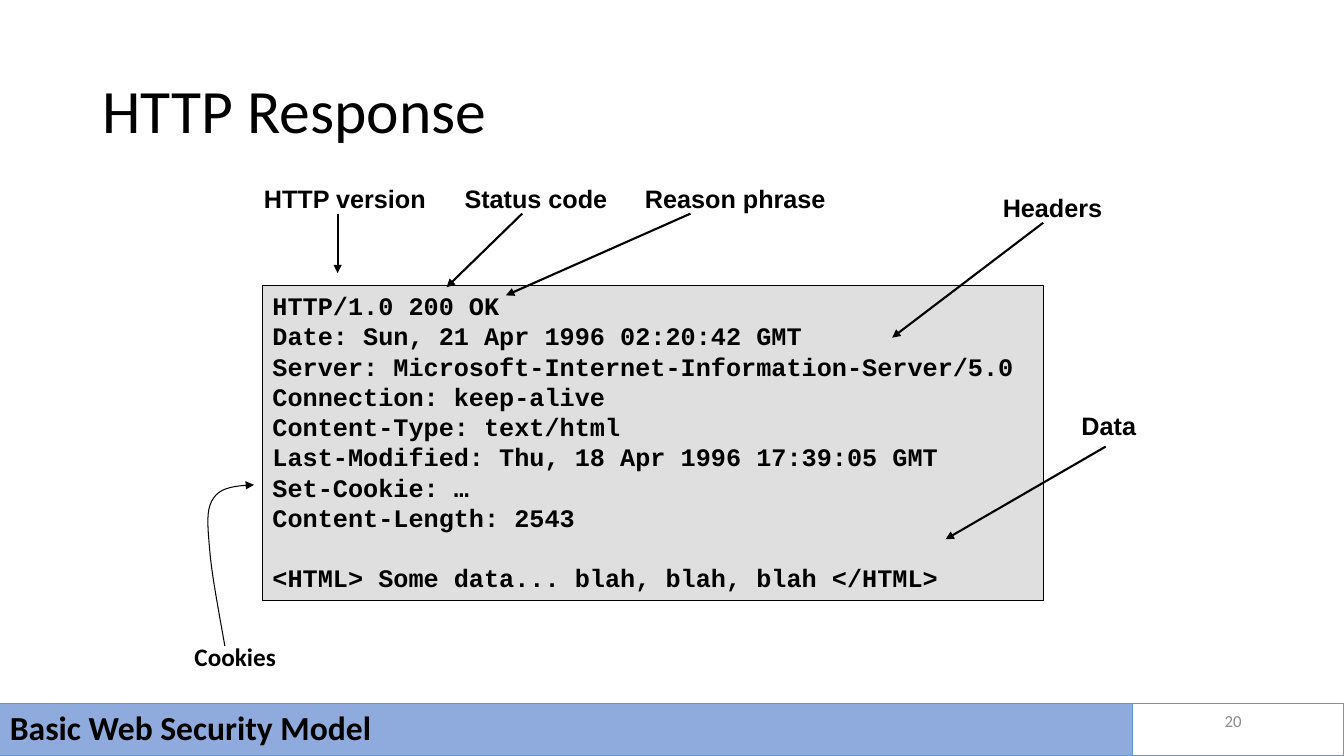
from lxml.etree import SubElement
from pptx import Presentation
from pptx.dml.color import RGBColor
from pptx.enum.shapes import MSO_CONNECTOR as Connector, MSO_SHAPE as Preset
from pptx.enum.text import MSO_ANCHOR as Anchor, PP_ALIGN as Align
from pptx.oxml.ns import qn
from pptx.util import Pt

BLACK = RGBColor(0x00, 0x00, 0x00)
GRAY = RGBColor(0x80, 0x80, 0x80)
NUMBER_GRAY = RGBColor(0x8C, 0x8C, 0x8C)
BAR_BLUE = RGBColor(0x8F, 0xAA, 0xDC)
BORDER_BLUE = RGBColor(0x5B, 0x9B, 0xD5)

RESPONSE = [
    "HTTP/1.0 200 OK",
    "Date: Sun, 21 Apr 1996 02:20:42 GMT",
    "Server: Microsoft-Internet-Information-Server/5.0",
    "Connection: keep-alive",
    "Content-Type: text/html",
    "Last-Modified: Thu, 18 Apr 1996 17:39:05 GMT",
    "Set-Cookie: …",
    "Content-Length: 2543",
]
BODY = "<HTML> Some data... blah, blah, blah </HTML>"
LINE_PITCH = 21.6

CALLOUTS = [
    ("HTTP version", (181.4, 127.4, 130.3), (241.2, 152.6), (241.2, 195.1)),
    ("Status code", (324.7, 127.4, 116.6), (373, 152.6), (319, 205.2)),
    ("Reason phrase", (453.6, 127.4, 143.3), (493.2, 152.6), (361.4, 211)),
    ("Headers", (709.2, 133.5, 85.7), (745.2, 159.1), (637.2, 241.2)),
    ("Data", (765.4, 289.4, 53.3), (789.8, 319), (675.4, 385.2)),
]
COOKIE_CURVES = [
    ((160.6, 461.5), (156.2, 436.3), (151.2, 410.4), (149.8, 393.1)),
    ((149.8, 393.1), (148.3, 375.1), (146.9, 363.6), (152.6, 355.7)),
    ((152.6, 355.7), (157.7, 347.8), (169.2, 347), (181.4, 346.3)),
]


def bezier(curve, t):
    weights = ((1 - t) ** 3, 3 * t * (1 - t) ** 2, 3 * t * t * (1 - t), t ** 3)
    return tuple(Pt(sum(w * point[axis] for w, point in zip(weights, curve)))
                 for axis in (0, 1))


class ResponseSlide:
    """Draws styled elements on one slide, with all lengths in points."""

    def __init__(self, slide):
        self.slide = slide
        self.shapes = slide.shapes

    def add_lines(self, frame, lines, size, font="Calibri", color=BLACK,
                  bold=True, align=Align.LEFT, anchor=Anchor.TOP, spacing=None,
                  wrap=True):
        frame.word_wrap = wrap
        frame.vertical_anchor = anchor
        for index, line in enumerate(lines):
            paragraph = frame.add_paragraph() if index else frame.paragraphs[0]
            paragraph.alignment = align
            paragraph.line_spacing = spacing
            run = paragraph.add_run()
            run.text = line
            run.font.name, run.font.size = font, Pt(size)
            run.font.bold, run.font.color.rgb = bold, color

    def title(self, text, left, top, width, height):
        title = self.shapes.title
        title.left, title.top = Pt(left), Pt(top)
        title.width, title.height = Pt(width), Pt(height)
        self.add_lines(title.text_frame, [text], 44, bold=False,
                       anchor=Anchor.MIDDLE, spacing=0.9)

    def text(self, text, left, top, width, size, height=28.8, **style):
        box = self.shapes.add_textbox(Pt(left), Pt(top), Pt(width), Pt(height))
        self.add_lines(box.text_frame, [text], size, **style)

    def panel(self, left, top, width, height, line, fill=None, alpha=None):
        panel = self.shapes.add_shape(
            Preset.RECTANGLE, Pt(left), Pt(top), Pt(width), Pt(height))
        panel.shadow.inherit = False
        panel.line.color.rgb, panel.line.width = line, Pt(0.75)
        if fill is None:
            panel.fill.background()
        else:
            panel.fill.solid()
            panel.fill.fore_color.rgb = fill
        if alpha is not None:
            color = panel._element.spPr.find(qn("a:solidFill"))[0]
            SubElement(color, qn("a:alpha"), val=str(alpha * 1000))
        return panel.text_frame

    def arrowhead(self, shape, width):
        shape.line.color.rgb, shape.line.width = BLACK, Pt(width)
        outline = shape._element.spPr.find(qn("a:ln"))
        SubElement(outline, qn("a:tailEnd"), type="triangle")

    def arrow(self, start, end):
        arrow = self.shapes.add_connector(
            Connector.STRAIGHT, *map(Pt, start), *map(Pt, end))
        self.arrowhead(arrow, 1.5)
        SubElement(arrow._element.spPr, qn("a:effectLst"))

    def curved_arrow(self, curves, steps=10):
        points = [bezier(curve, step / steps)
                  for curve in curves for step in range(1, steps + 1)]
        builder = self.shapes.build_freeform(*bezier(curves[0], 0))
        builder.add_line_segments(points, close=False)
        arrow = builder.convert_to_shape()
        arrow.shadow.inherit = False
        arrow.fill.background()
        self.arrowhead(arrow, 0.75)


def main():
    deck = Presentation()
    deck.slide_width, deck.slide_height = Pt(960), Pt(540)
    page = ResponseSlide(deck.slides.add_slide(deck.slide_layouts[5]))

    page.title("HTTP Response", 66, 28.8, 828, 104.4)
    message = page.panel(187.5, 204, 558, 225, BLACK, GRAY, alpha=25)
    page.add_lines(message, RESPONSE + [BODY], 18, "Courier New",
                   spacing=Pt(LINE_PITCH))
    message.paragraphs[-1].space_before = Pt(LINE_PITCH)

    for label, place, start, end in CALLOUTS:
        page.text(label, *place, 18, font="Arial", wrap=False)
        page.arrow(start, end)
    page.text("Cookies", 131.8, 454.3, 72.7, 18, wrap=False)
    page.curved_arrow(COOKIE_CURVES)

    footer = page.panel(0, 502.5, 809, 37.5, BORDER_BLUE, BAR_BLUE)
    page.add_lines(footer, ["Basic Web Security Model"], 24,
                   anchor=Anchor.MIDDLE, spacing=0.9)
    page.panel(809, 502.5, 151, 37.5, BORDER_BLUE)
    page.text("20", 678, 500.5, 216, 12, color=NUMBER_GRAY, bold=False,
              align=Align.RIGHT, anchor=Anchor.MIDDLE)
    deck.save("out.pptx")


if __name__ == "__main__":
    main()
